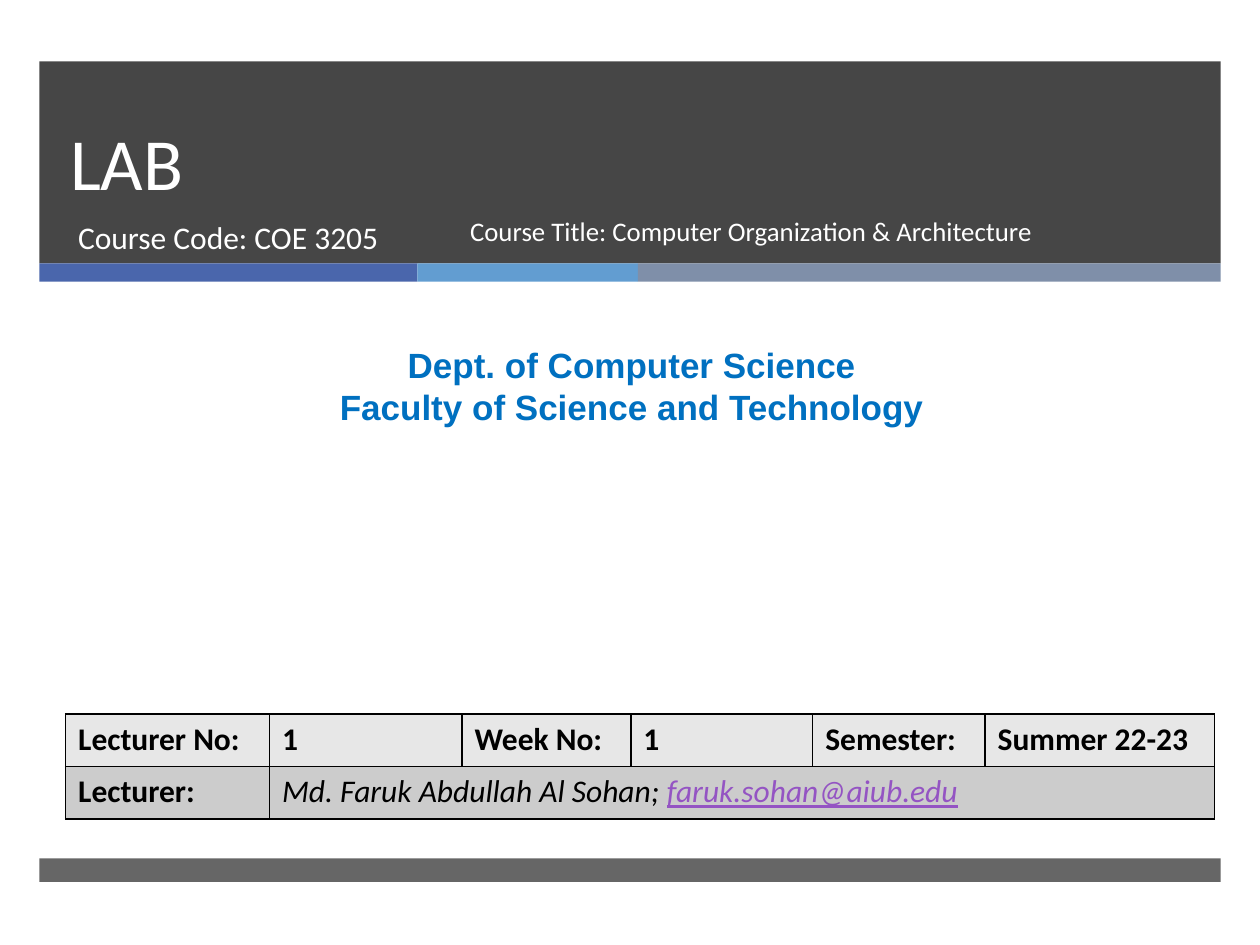
import lxml.etree
import pptx
import pptx.dml.color
import pptx.enum.shapes
import pptx.enum.text
import pptx.oxml.ns
import pptx.util

Pt = pptx.util.Pt
qn = pptx.oxml.ns.qn
ANCHOR = pptx.enum.text.MSO_ANCHOR
ALIGN = pptx.enum.text.PP_ALIGN

COLORS = {
    "dark": "262626",
    "blue": "4A66AC",
    "sky": "629DD1",
    "slate": "7F8FA9",
    "white": "FFFFFF",
    "heading": "0070C0",
    "black": "000000",
    "mail": "9454C3",
    "light_row": "E7E7E7",
    "dark_row": "CCCCCC",
}


class CoverPage:
    """Holds the style and the current slide and adds elements to it."""

    def __init__(self, page, font="Calibri"):
        self.page = page
        self.font = font

    def color(self, name):
        return pptx.dml.color.RGBColor.from_string(COLORS[name])

    def bar(self, left, top, width, height, fill, opacity=100):
        shape = self.page.shapes.add_shape(
            pptx.enum.shapes.MSO_SHAPE.RECTANGLE, Pt(left), Pt(top), Pt(width), Pt(height)
        )
        shape.shadow.inherit = False
        shape.line.fill.background()
        shape.fill.solid()
        shape.fill.fore_color.rgb = self.color(fill)
        if opacity < 100:
            tint = shape.fill._xPr.find(".//" + qn("a:srgbClr"))
            lxml.etree.SubElement(tint, qn("a:alpha"), val=str(opacity * 1000))

    def span(self, para, text, size, color, font=None, bold=False, italic=False, underline=False):
        span = para.add_run()
        span.text = text
        span.font.name = font or self.font
        span.font.size = Pt(size)
        span.font.color.rgb = self.color(color)
        span.font.bold = bold
        span.font.italic = italic
        span.font.underline = underline

    def text(self, left, top, width, height, lines, size, color="white",
             anchor=ANCHOR.TOP, align=ALIGN.LEFT, spacing=None, **style):
        box = self.page.shapes.add_textbox(Pt(left), Pt(top), Pt(width), Pt(height))
        frame = box.text_frame
        frame.word_wrap = True
        frame.vertical_anchor = anchor
        for index, line in enumerate(lines):
            para = frame.add_paragraph() if index else frame.paragraphs[0]
            para.alignment = align
            para.line_spacing = spacing
            self.span(para, line, size, color, **style)

    def border(self, cell):
        properties = cell._tc.get_or_add_tcPr()
        for side in ("a:lnL", "a:lnR", "a:lnT", "a:lnB"):
            line = lxml.etree.SubElement(properties, qn(side), w=str(Pt(1)))
            fill = lxml.etree.SubElement(line, qn("a:solidFill"))
            lxml.etree.SubElement(fill, qn("a:srgbClr"), val=COLORS["black"])

    def table(self, left, top, widths, row_height, row_fills):
        table = self.page.shapes.add_table(
            len(row_fills), len(widths), Pt(left), Pt(top),
            Pt(sum(widths)), Pt(row_height * len(row_fills)),
        ).table
        for column, width in zip(table.columns, widths):
            column.width = Pt(width)
        for row, fill in zip(table.rows, row_fills):
            row.height = Pt(row_height)
            for cell in row.cells:
                self.border(cell)
                cell.fill.solid()
                cell.fill.fore_color.rgb = self.color(fill)
        return table


def main():
    deck = pptx.Presentation()
    deck.slide_width, deck.slide_height = Pt(720), Pt(540)
    cover = CoverPage(deck.slides.add_slide(deck.slide_layouts[6]))

    left, width = 22.5, 675
    cover.bar(left, 35, width, 115.5, "dark", 85)
    stripe_left = left
    for stripe_width, fill in ((216, "blue"), (126, "sky"), (333, "slate")):
        cover.bar(stripe_left, 150.5, stripe_width, 10.5, fill)
        stripe_left += stripe_width
    cover.bar(left, 490.5, width, 13.5, "dark", 70)

    cover.text(33, 35, 615, 86, ["LAB"], 42, anchor=ANCHOR.BOTTOM, spacing=Pt(46))
    cover.text(37.5, 121, 220, 38, ["Course Code: COE 3205"], 18)
    cover.text(261.5, 121, 356, 38, ["Course Title: Computer Organization & Architecture"],
               15.3, spacing=0.9)
    cover.text(5.5, 193, 711, 55.5,
               ["Dept. of Computer Science", "Faculty of Science and Technology"],
               20, "heading", align=ALIGN.CENTER, font="Arial", bold=True)

    table = cover.table(37.5, 408, (116.5, 110, 96.5, 104, 98.5, 131), 30,
                        ("light_row", "dark_row"))
    labels = (
        ("Lecturer No:", "1", "Week No:", "1", "Semester:", "Summer 22-23"),
        ("Lecturer:",),
    )
    for row, texts in enumerate(labels):
        for column, text in enumerate(texts):
            para = table.cell(row, column).text_frame.paragraphs[0]
            cover.span(para, text, 18, "black", bold=True)
    lecturer = table.cell(1, 1)
    lecturer.merge(table.cell(1, 5))
    para = lecturer.text_frame.paragraphs[0]
    cover.span(para, "Md. Faruk Abdullah Al Sohan; ", 18, "black", italic=True)
    cover.span(para, "faruk.sohan@aiub.edu", 18, "mail", italic=True, underline=True)

    deck.save("out.pptx")


if __name__ == "__main__":
    main()
